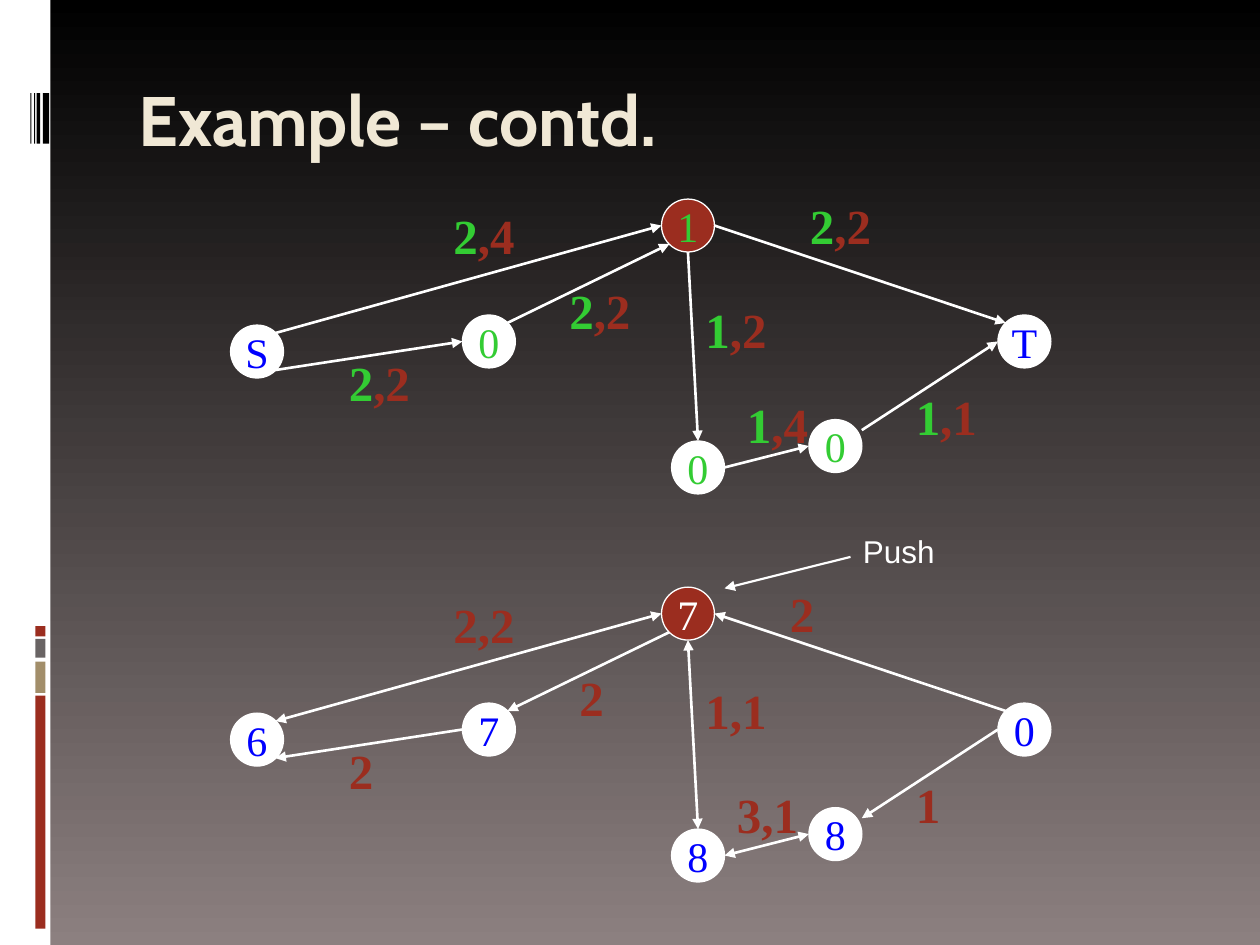
import pptx
import pptx.util
from pptx.dml.color import RGBColor
from pptx.enum.shapes import MSO_CONNECTOR, MSO_SHAPE
from pptx.enum.text import MSO_ANCHOR, MSO_AUTO_SIZE, PP_ALIGN
from pptx.oxml.ns import qn
from pptx.util import Inches, Pt
from lxml import etree

BLACK = RGBColor(0x00, 0x00, 0x00)
WHITE = RGBColor(0xFF, 0xFF, 0xFF)
TAUPE = RGBColor(0x8C, 0x80, 0x80)
RED = RGBColor(0x9B, 0x2D, 0x1F)
TAN = RGBColor(0xA2, 0x8E, 0x6A)
GRAY = RGBColor(0x69, 0x64, 0x64)
CREAM = RGBColor(0xF0, 0xE8, 0xD5)
GREEN = RGBColor(0x33, 0xCC, 0x33)
BLUE = RGBColor(0x00, 0x00, 0xFF)
SERIF = "Times New Roman"

# left, top, width, height, colour
SIDE_BARS = [
    (0, 0, 0.4, 7.5, WHITE),
    (0.28, 5.52, 0.08, 1.85, RED),
    (0.28, 5.25, 0.08, 0.25, TAN),
    (0.28, 5.07, 0.08, 0.15, GRAY),
    (0.28, 4.97, 0.08, 0.08, RED),
    (0.34, 0.74, 0.05, 0.4, BLACK),
    (0.29, 0.74, 0.03, 0.4, BLACK),
    (0.27, 0.74, 0.01, 0.4, BLACK),
    (0.24, 0.74, 0.01, 0.4, BLACK),
]

RADIUS = 0.21
NODE_CENTERS = {
    "source": (2.04, 2.79),
    "left": (3.88, 2.71),
    "active": (5.46, 1.79),
    "bottom": (5.54, 3.71),
    "right": (6.63, 3.54),
    "sink": (8.13, 2.71),
}
# points on or near a node, in radii from its centre
SITES = {
    "N": (0, -1), "S": (0, 1), "W": (-1, 0), "E": (1, 0),
    "NW": (-0.7, -0.7), "NE": (0.7, -0.7),
    "SW": (-0.7, 0.7), "SE": (0.7, 0.7), "ENE": (1, -0.6),
}
EDGES = [
    ("source", "NE", "active", "W"),
    ("source", "SE", "left", "W"),
    ("right", "ENE", "sink", "W"),
    ("active", "S", "bottom", "N"),
    ("active", "E", "sink", "NW"),
    ("left", "NE", "active", "SW"),
    ("bottom", "E", "right", "W"),
]

# Each graph: vertical shift, node texts, arrow directions in the order of
# EDGES, and labels as (left, top, width, flow, capacity)
GRAPHS = [
    {
        "shift": 0,
        "nodes": {
            "source": ("S", BLUE), "left": ("0", GREEN),
            "active": ("1", GREEN), "bottom": ("0", GREEN),
            "right": ("0", GREEN), "sink": ("T", BLUE),
        },
        "arrows": ["forward"] * len(EDGES),
        "labels": [
            (3.5, 1.58, 0.75, "2", ",4"),
            (7.17, 3.02, 0.83, "1", ",1"),
            (2.67, 2.75, 0.75, "2", ",2"),
            (5.83, 3.08, 0.83, "1", ",4"),
            (4.42, 2.18, 0.75, "2", ",2"),
            (6.33, 1.5, 0.75, "2", ",2"),
            (5.5, 2.33, 0.75, "1", ",2"),
        ],
    },
    {
        "shift": 3.08,
        "nodes": {
            "source": ("6", BLUE), "left": ("7", BLUE),
            "active": ("7", WHITE), "bottom": ("8", BLUE),
            "right": ("8", BLUE), "sink": ("0", BLUE),
        },
        "arrows": ["both", "back", "back", "both", "back", "back", "both"],
        "labels": [
            (3.5, 4.67, 0.75, "", "2,2"),
            (7.17, 6.1, 0.42, "", "1"),
            (6.17, 4.58, 0.42, "", "2"),
            (2.67, 5.83, 0.42, "", "2"),
            (5.75, 6.18, 0.75, "", "3,1"),
            (4.5, 5.25, 0.42, "", "2"),
            (5.5, 5.35, 0.75, "", "1,1"),
        ],
    },
]
ARROW_ENDS = {"forward": ["tailEnd"], "back": ["headEnd"],
              "both": ["headEnd", "tailEnd"]}


def format_run(run, size, name, color, bold=False):
    run.font.size = Pt(size)
    run.font.name = name
    run.font.color.rgb = color
    run.font.bold = bold


def add_filled_shape(slide, kind, box, color):
    shape = slide.shapes.add_shape(kind, *map(Inches, box))
    shape.shadow.inherit = False
    shape.fill.solid()
    shape.fill.fore_color.rgb = color
    shape.line.fill.background()
    return shape


def add_arrow(slide, start, end, direction="forward", width=1.5):
    connector = slide.shapes.add_connector(
        MSO_CONNECTOR.STRAIGHT, *map(Inches, (*start, *end)))
    connector.line.color.rgb = WHITE
    connector.line.width = Pt(width)
    line = connector.line._get_or_add_ln()
    for tag in ARROW_ENDS[direction]:
        etree.SubElement(line, qn(f"a:{tag}"), type="triangle")
    etree.SubElement(connector._element.spPr, qn("a:effectLst"))


def add_text(slide, box, pieces, size, name, bold=False):
    """Add a text box whose pieces are (text, colour) pairs."""
    text_box = slide.shapes.add_textbox(*map(Inches, box))
    text_frame = text_box.text_frame
    text_frame.word_wrap = True
    text_frame.auto_size = MSO_AUTO_SIZE.SHAPE_TO_FIT_TEXT
    for text, color in pieces:
        if text:
            run = text_frame.paragraphs[0].add_run()
            run.text = text
            format_run(run, size, name, color, bold)


def add_node(slide, center, text, text_color, fill_color):
    x, y = center
    box = (x - RADIUS, y - RADIUS, 2 * RADIUS, 2 * RADIUS)
    node = add_filled_shape(slide, MSO_SHAPE.OVAL, box, fill_color)
    node.line.color.rgb = WHITE
    node.line.width = Pt(0.75)
    text_frame = node.text_frame
    text_frame.word_wrap = False
    text_frame.vertical_anchor = MSO_ANCHOR.MIDDLE
    text_frame.text = text
    paragraph = text_frame.paragraphs[0]
    paragraph.alignment = PP_ALIGN.CENTER
    format_run(paragraph.runs[0], 24, SERIF, text_color)


def add_graph(slide, graph):
    centers = {name: (x, y + graph["shift"])
               for name, (x, y) in NODE_CENTERS.items()}

    def site_point(name, site):
        return [c + RADIUS * offset
                for c, offset in zip(centers[name], SITES[site])]

    for (start, start_site, end, end_site), direction in zip(EDGES, graph["arrows"]):
        add_arrow(slide, site_point(start, start_site),
                  site_point(end, end_site), direction)
    for name, (text, color) in graph["nodes"].items():
        add_node(slide, centers[name], text, color,
                 RED if name == "active" else WHITE)
    for left, top, width, flow, capacity in graph["labels"]:
        add_text(slide, (left, top, width, 0.57),
                 [(flow, GREEN), (capacity, RED)], 28, SERIF, bold=True)


def main():
    presentation = pptx.Presentation()
    presentation.slide_width = Inches(10)
    presentation.slide_height = Inches(7.5)
    slide = presentation.slides.add_slide(presentation.slide_layouts[5])

    background = slide.background.fill
    background.gradient()
    background.gradient_angle = 270
    for stop, color, position in zip(background.gradient_stops, (BLACK, TAUPE), (0, 1)):
        stop.color.rgb = color
        stop.position = position

    for *box, color in SIDE_BARS:
        add_filled_shape(slide, MSO_SHAPE.RECTANGLE, box, color)

    title = slide.shapes.title
    title.left, title.top, title.width, title.height = map(Inches, (1, 0.56, 8.5, 1))
    title.text_frame.text = "Example – contd."
    title.text_frame.vertical_anchor = MSO_ANCHOR.TOP
    paragraph = title.text_frame.paragraphs[0]
    paragraph.alignment = PP_ALIGN.LEFT
    format_run(paragraph.runs[0], 40, "Cabin", CREAM, bold=True)

    for graph in GRAPHS:
        add_graph(slide, graph)
    add_text(slide, (6.75, 4.17, 0.92, 0.4), [("Push", WHITE)], 18, "Arial")
    add_arrow(slide, (6.75, 4.42), (5.75, 4.67), width=1.25)
    presentation.save("out.pptx")


if __name__ == "__main__":
    main()
